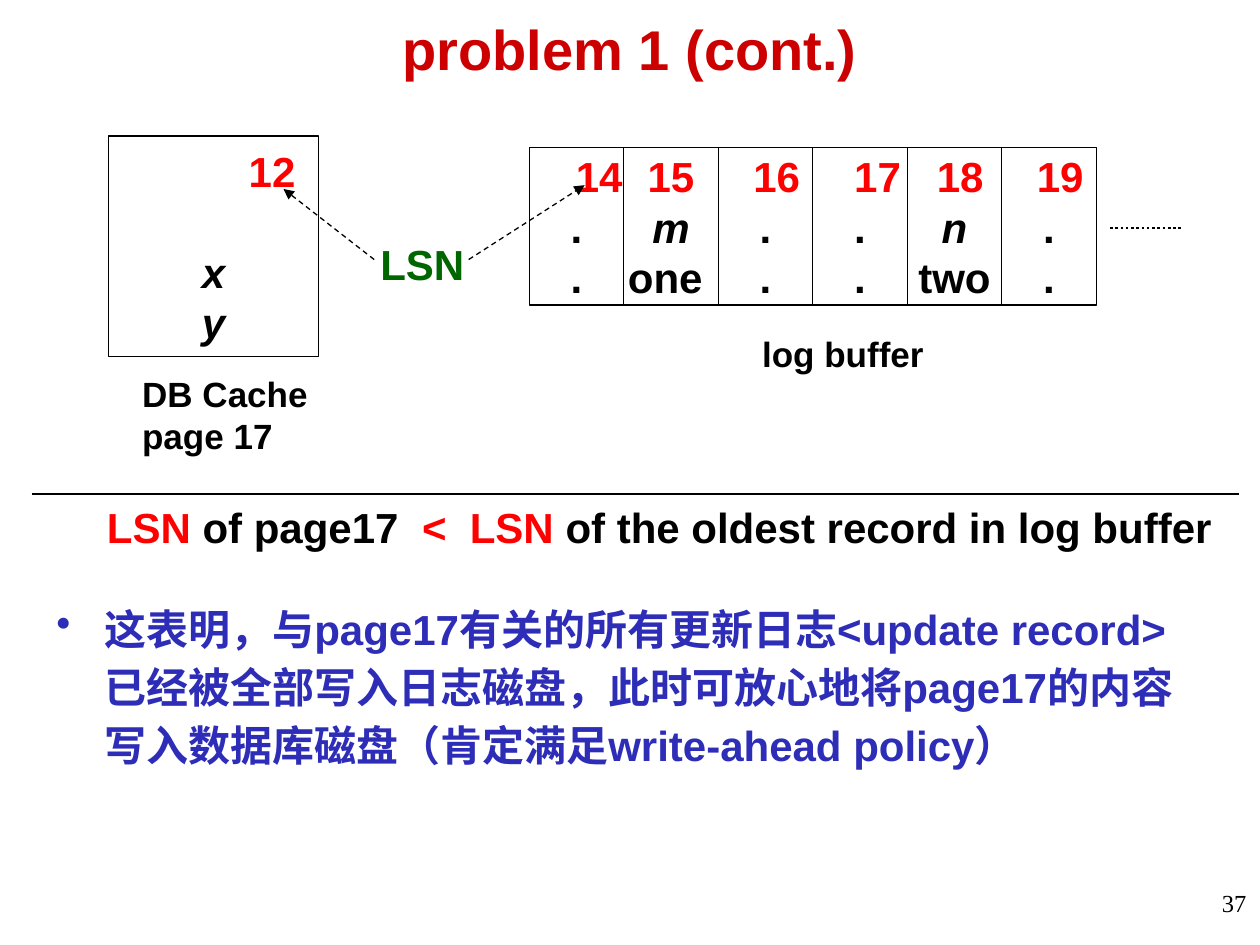
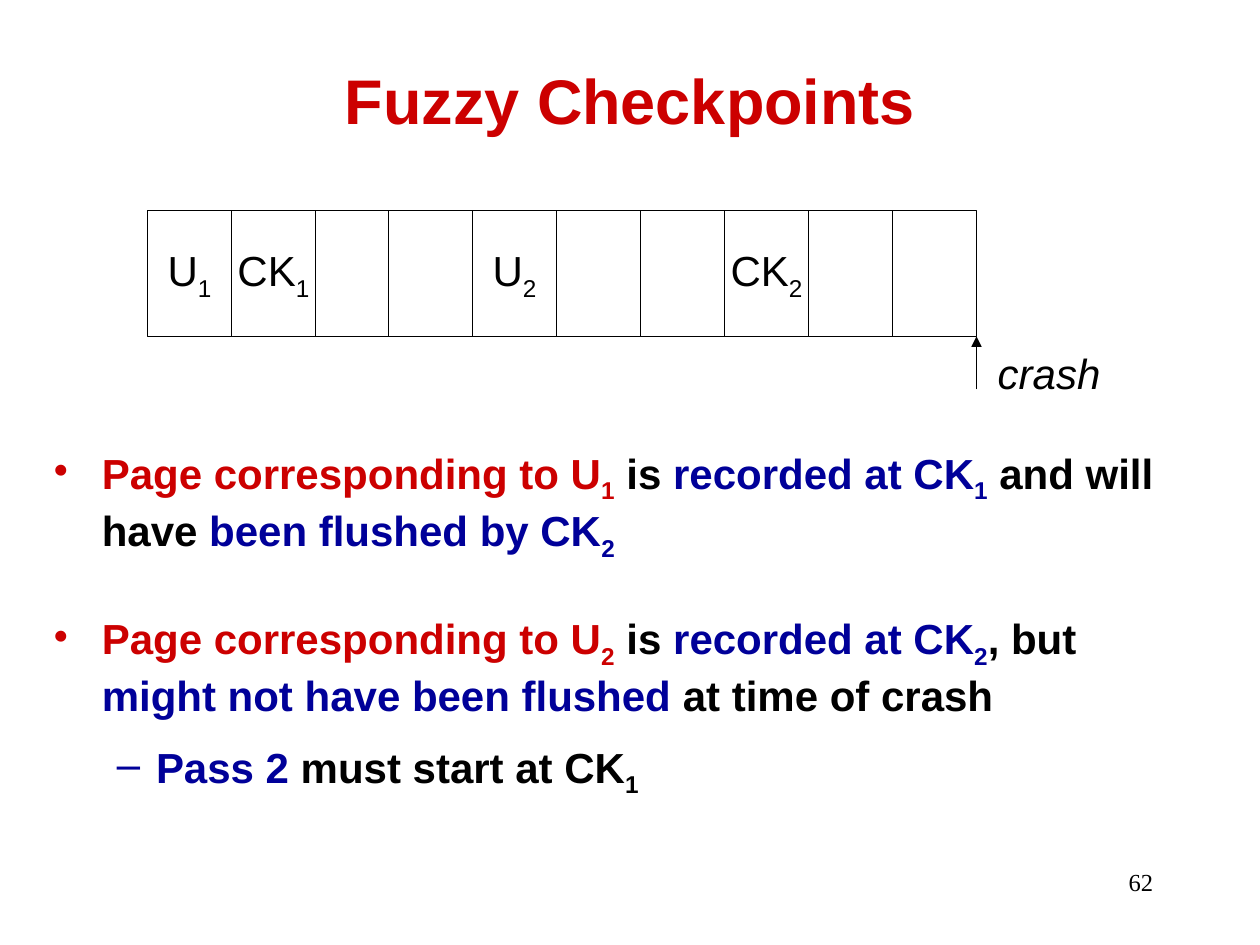
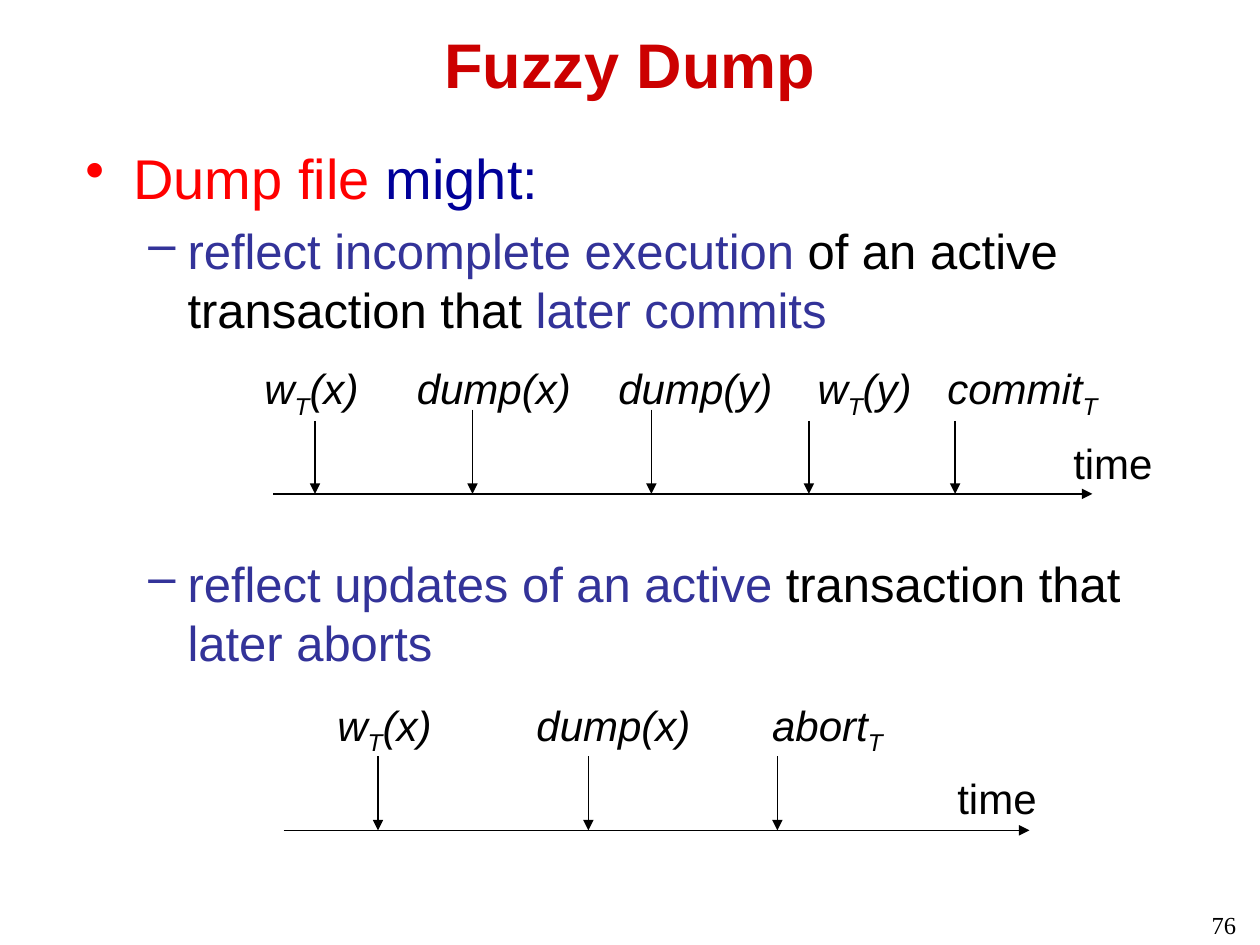
from dataclasses import dataclass

from lxml.etree import SubElement
from pptx import Presentation
from pptx.dml.color import RGBColor
from pptx.enum.dml import MSO_LINE
from pptx.enum.shapes import MSO_CONNECTOR, MSO_SHAPE
from pptx.enum.text import MSO_ANCHOR, PP_ALIGN
from pptx.oxml.ns import qn
from pptx.util import Inches, Pt


@dataclass(frozen=True)
class Theme:
    font: str = "Arial"
    number_font: str = "Times New Roman"
    title: str = "CC0000"
    black: str = "000000"
    white: str = "FFFFFF"
    red: str = "FF0000"
    green: str = "006600"
    navy: str = "000099"
    indigo: str = "333399"
    blue: str = "2D2DB7"
    topic: int = 32
    point: int = 28
    text: int = 24
    caption: int = 20
    number: int = 14
    thin: float = 0.75


T = Theme()


@dataclass
class Line:
    """One paragraph: (text, colour) runs, where _ lowers the next character."""
    runs: list
    size: int = T.text
    bold: bool = False
    italic: bool = False
    font: str = T.font
    align: PP_ALIGN = PP_ALIGN.LEFT
    level: int = -1
    before: float = 0
    after: float = 0
    spacing: float = 1
    left: float = 0
    right: float = 0


def plain(text, colour=T.black, **style):
    return Line([(text, colour)], **style)


def centred(text, colour=T.black, **style):
    return plain(text, colour, align=PP_ALIGN.CENTER, **style)


# ---- Content: text, then places in inches ----

# (record number, its left indent, record lines)
LOG_RECORDS = [
    ("14", 0.36, (".", ".")),
    ("15", 0, ("m", "one")),
    ("16", 0.18, (".", ".")),
    ("17", 0.28, (".", ".")),
    ("18", 0.09, ("n", "two")),
    ("19", 0.18, (".", ".")),
]
LSN_RULE = [("LSN ", T.red), ("of page17  ", T.black), ("<  LSN ", T.red),
            ("of the oldest record in log buffer", T.black)]
LSN_MEANING = ("这表明，与page17有关的所有更新日志<update record>已经被全部写入日志磁盘，"
               "此时可放心地将page17的内容写入数据库磁盘（肯定满足write-ahead policy）")

CHECKPOINT_LOG = ["U_1", "CK_1", "", "", "U_2", "", "", "CK_2", "", ""]
CHECKPOINT_POINTS = [
    Line([("Page corresponding to U_1 ", T.title), ("is ", T.black),
          ("recorded at CK_1", T.navy), (" and will have ", T.black),
          ("been flushed by CK_2", T.navy)], bold=True, level=0),
    Line([("Page corresponding to U_2", T.title), (" is ", T.black),
          ("recorded at CK_2", T.navy), (", but ", T.black),
          ("might not have been flushed", T.navy),
          (" at time of crash", T.black)], bold=True, level=0, before=29),
    Line([("Pass 2", T.navy), (" must start at CK_1", T.black)],
         bold=True, level=1, before=12),
]

DUMP_POINTS = [
    Line([("Dump file", T.red), (" might:", T.navy)], size=T.topic, level=0),
    Line([("reflect incomplete execution", T.indigo),
          (" of an active transaction that ", T.black),
          ("later commits", T.indigo)], size=T.point, level=1, before=5.6),
    Line([("reflect updates of an active", T.indigo),
          (" transaction that ", T.black),
          ("later aborts", T.indigo)], size=T.point, level=1, before=123),
]
# events: (label, label left, arrow x, arrow top)
TIMELINES = [
    dict(start=2.17, end=8.67, axis=3.92, label_top=2.83, time=(8.42, 3.42),
         events=[("w_T(x)", 2.0, 2.5, 3.34), ("dump(x)", 3.21, 3.75, 3.25),
                 ("dump(y)", 4.81, 5.17, 3.25), ("w_T(y)", 6.39, 6.42, 3.34),
                 ("commit_T", 7.42, 7.58, 3.34)]),
    dict(start=2.25, end=8.17, axis=6.59, label_top=5.5, time=(7.5, 6.08),
         events=[("w_T(x)", 2.58, 3.0, 6.0), ("dump(x)", 4.16, 4.67, 6.0),
                 ("abort_T", 6.03, 6.17, 6.0)]),
]

BULLETS = [("•", 0.38, -0.38), ("–", 0.81, -0.31)]


# ---- Drawing helpers ----

def add_run(paragraph, text, colour, line, lowered=False):
    run = paragraph.add_run()
    run.text = text
    font = run.font
    font.size, font.bold, font.italic = Pt(line.size), line.bold, line.italic
    font.color.rgb = RGBColor.from_string(colour)
    font.name = line.font
    properties = run._r.get_or_add_rPr()
    SubElement(properties, qn("a:ea")).set("typeface", line.font)
    if lowered:
        properties.set("baseline", "-25000")


def write(frame, lines):
    frame.word_wrap = True
    for index, line in enumerate(lines):
        paragraph = frame.add_paragraph() if index else frame.paragraphs[0]
        paragraph.alignment = line.align
        paragraph.line_spacing = line.spacing
        paragraph.space_before, paragraph.space_after = Pt(line.before), Pt(line.after)
        properties = paragraph._p.get_or_add_pPr()
        left, indent = line.left, 0
        if line.level >= 0:
            mark, left, indent = BULLETS[line.level]
            paragraph.level = line.level
            SubElement(properties, qn("a:buChar")).set("char", mark)
        for key, inches in (("marL", left), ("marR", line.right), ("indent", indent)):
            properties.set(key, str(Inches(inches)))
        for text, colour in line.runs:
            first, *rest = text.split("_")
            if first:
                add_run(paragraph, first, colour, line)
            for piece in rest:
                add_run(paragraph, piece[0], colour, line, lowered=True)
                if piece[1:]:
                    add_run(paragraph, piece[1:], colour, line)


def add_text(slide, at, *lines, anchor=MSO_ANCHOR.TOP):
    frame = slide.shapes.add_textbox(*map(Inches, at)).text_frame
    frame.vertical_anchor = anchor
    write(frame, lines)


def add_cell(slide, at, *lines):
    cell = slide.shapes.add_shape(MSO_SHAPE.RECTANGLE, *map(Inches, at))
    cell.shadow.inherit = False
    cell.fill.solid()
    cell.fill.fore_color.rgb = RGBColor.from_string(T.white)
    cell.line.color.rgb = RGBColor.from_string(T.black)
    cell.line.width = Pt(T.thin)
    frame = cell.text_frame
    frame.margin_left = frame.margin_right = 0
    frame.vertical_anchor = MSO_ANCHOR.MIDDLE
    write(frame, lines)


def add_line(slide, start, end, width=T.thin, dash=None, arrow=False):
    connector = slide.shapes.add_connector(
        MSO_CONNECTOR.STRAIGHT, *map(Inches, (*start, *end)))
    connector.line.color.rgb = RGBColor.from_string(T.black)
    connector.line.width = Pt(width)
    if dash:
        connector.line.dash_style = dash
    if arrow:
        SubElement(connector.line._get_or_add_ln(), qn("a:tailEnd")).set("type", "triangle")
    SubElement(connector._element.spPr, qn("a:effectLst"))


def add_slide(deck, title, title_size, title_top, title_height, number, number_at):
    slide = deck.slides.add_slide(deck.slide_layouts[6])
    add_text(slide, (*number_at, 2.08, 0.33),
             plain(number, size=T.number, font=T.number_font, align=PP_ALIGN.RIGHT))
    add_text(slide, (0.75, title_top, 8.5, title_height),
             centred(title, T.title, size=title_size, bold=True),
             anchor=MSO_ANCHOR.MIDDLE)
    return slide


# ---- Slides ----

def build_problem(deck):
    slide = add_slide(deck, "problem 1 (cont.)", 32, 0.09, 0.58, "37", (7.91, 7))
    cell_width = 0.75
    for index, (number, indent, record) in enumerate(LOG_RECORDS):
        add_cell(slide, (4.2 + index * cell_width, 1.17, cell_width, 1.25),
                 centred(number, T.red, bold=True, left=indent),
                 *(centred(item, bold=True, italic=item in ("m", "n"),
                           right=0.09 if item == "one" else 0) for item in record))
    add_cell(slide, (0.86, 1.08, 1.67, 1.75),
             centred("12", T.red, bold=True, left=0.93),
             centred("x", bold=True, italic=True, before=28.8),
             centred("y", bold=True, italic=True))
    add_text(slide, (1.03, 2.91, 1.6, 0.77),
             *(plain(text, size=T.caption, bold=True) for text in ("DB Cache", "page 17")))
    add_text(slide, (5.95, 2.59, 1.85, 0.43),
             plain("log buffer", size=T.caption, bold=True))
    add_text(slide, (2.92, 1.84, 1, 0.5), plain("LSN", T.green, bold=True))
    for start, end in [((2.97, 2.06), (2.25, 1.5)), ((3.72, 2.06), (4.64, 1.47))]:
        add_line(slide, start, end, dash=MSO_LINE.DASH, arrow=True)
    add_line(slide, (8.81, 1.81), (9.39, 1.81), 1.5, MSO_LINE.ROUND_DOT)
    add_line(slide, (0.25, 3.92), (9.83, 3.92))
    add_text(slide, (0.75, 3.93, 9.01, 0.5), Line(LSN_RULE, bold=True))
    add_text(slide, (0.35, 4.68, 9.06, 1.49),
             plain(LSN_MEANING, T.blue, bold=True, level=0, spacing=1.15, after=12))


def build_checkpoints(deck):
    slide = add_slide(deck, "Fuzzy Checkpoints", 36, 0.34, 0.9, "62", (7.17, 6.83))
    add_text(slide, (0.33, 3.5, 9.25, 2.77), *CHECKPOINT_POINTS)
    cell_width, log_end = 2 / 3, 7.75
    for index, entry in enumerate(CHECKPOINT_LOG):
        if index < 3:
            left = 1.17 + index * cell_width
        else:
            left = log_end - (len(CHECKPOINT_LOG) - index) * cell_width
        add_cell(slide, (left, 1.67, cell_width, 1), *([centred(entry)] if entry else []))
    add_text(slide, (7.82, 2.71, 1.1, 0.5), plain("crash", italic=True))
    add_line(slide, (log_end, 3.09), (log_end, 2.67), arrow=True)


def build_dump(deck):
    slide = add_slide(deck, "Fuzzy Dump", 36, 0.09, 0.83, "76", (7.83, 7.17))
    add_text(slide, (0.58, 1.09, 8.92, 5.67), *DUMP_POINTS)
    for timeline in TIMELINES:
        axis = timeline["axis"]
        add_line(slide, (timeline["start"], axis), (timeline["end"], axis), arrow=True)
        add_text(slide, (*timeline["time"], 1, 0.5), plain("time"))
        for event, left, x, top in timeline["events"]:
            add_text(slide, (left, timeline["label_top"], 1.6, 0.5),
                     plain(event, italic=True))
            add_line(slide, (x, top), (x, axis), arrow=True)


def main():
    deck = Presentation()
    deck.slide_width, deck.slide_height = Inches(10), Inches(7.5)
    build_problem(deck)
    build_checkpoints(deck)
    build_dump(deck)
    deck.save("out.pptx")


if __name__ == "__main__":
    main()
